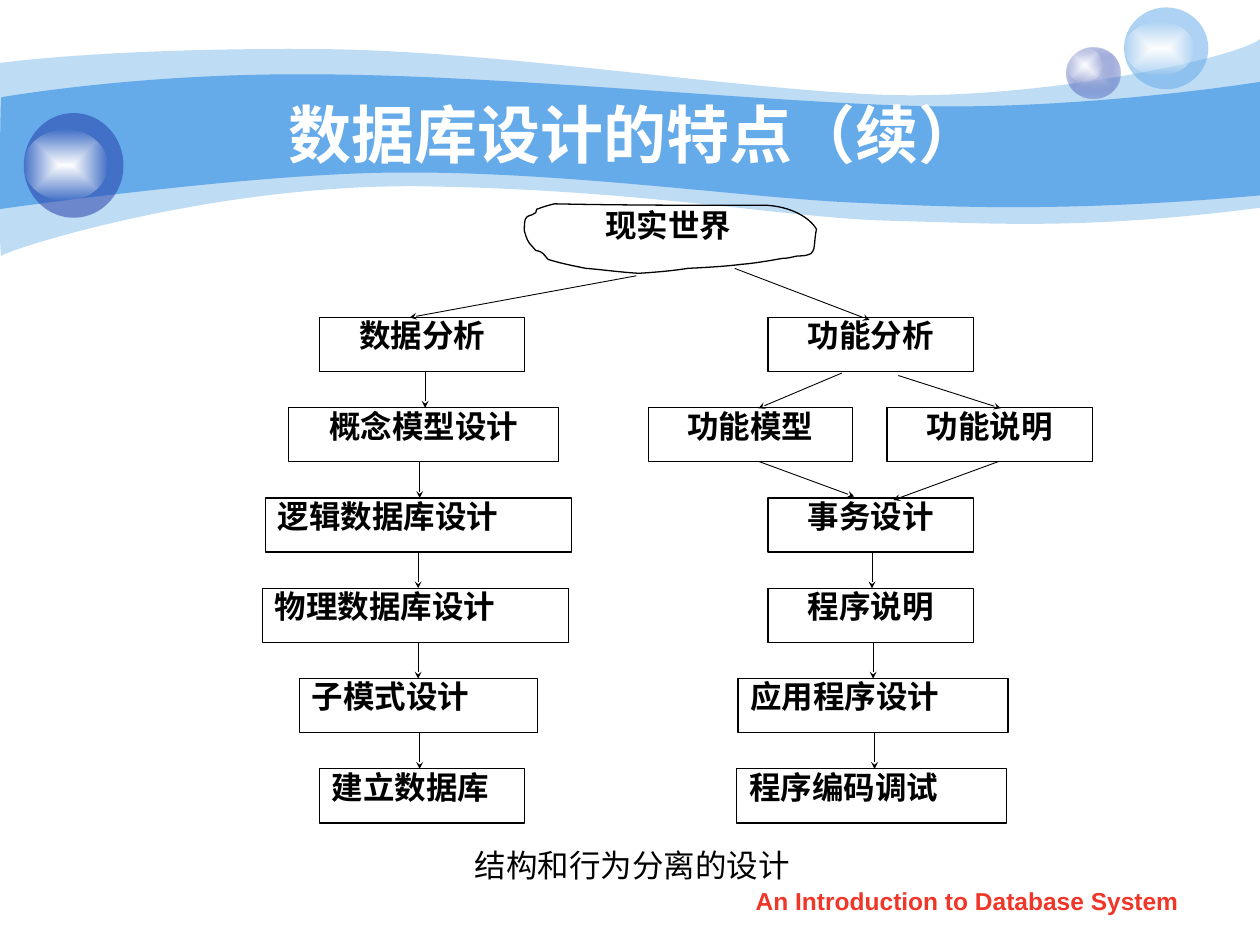
from pptx import Presentation
from pptx.dml.color import RGBColor
from pptx.enum.shapes import MSO_CONNECTOR, MSO_SHAPE
from pptx.enum.text import MSO_ANCHOR, MSO_AUTO_SIZE, PP_ALIGN
from pptx.oxml import parse_xml
from pptx.oxml.ns import nsdecls, qn
from pptx.util import Cm, Pt
from lxml import etree

OVAL, RECT = MSO_SHAPE.OVAL, MSO_SHAPE.RECTANGLE
STRAIGHT = MSO_CONNECTOR.STRAIGHT
TOP, MIDDLE = MSO_ANCHOR.TOP, MSO_ANCHOR.MIDDLE
GROW = MSO_AUTO_SIZE.SHAPE_TO_FIT_TEXT
LEFT, CENTER, JUSTIFY = PP_ALIGN.LEFT, PP_ALIGN.CENTER, PP_ALIGN.JUSTIFY

COLORS = {"sky": "65AAE9", "navy": "233DA9", "lilac": "C7CEE9",
          "white": "FFFFFF", "ink": "000000", "red": "F03628"}
SERIF, SANS = "Times New Roman", "Arial"
FIRST_ROW, ROW_PITCH, BOX_HEIGHT = 6.4, 1.82, 1.09

OUTER_WAVE = [
    (0, 1.27),
    (0.61, 1.19, 2.72, 0.97, 6.27, 0.99), (9.8, 0.99, 14.61, 1.78, 17.75, 1.91),
    (20.88, 2.03, 24.89, 1.19, 25.4, 0.79), (25.4, 4.19),
    (21.79, 4.65, 19.99, 4.5, 17.91, 4.45), (15.8, 4.39, 13.08, 3.84, 8.71, 3.76),
    (4.37, 3.66, 0.1, 5.05, 0.03, 5.16), (-0.03, 5.28, 0, 1.91, 0, 1.27)]
INNER_WAVE = [
    (0.03, 1.96),
    (0.05, 1.96, 2.79, 1.47, 6.3, 1.5), (9.8, 1.5, 15.11, 2.03, 18.24, 2.13),
    (21.36, 2.24, 24.79, 1.75, 25.4, 1.65), (25.4, 3.94),
    (21.67, 4.27, 19.43, 4.19, 17.32, 4.09), (15.21, 4.01, 11.35, 3.45, 8.05, 3.48),
    (5.16, 3.48, -0.05, 4.22, -0.03, 4.22), (0, 4.22, 0, 1.96, 0.03, 1.96)]
CLOUD = [
    (10.82, 4.22),
    (10.95, 4.17, 11.05, 4.14, 11.18, 4.11), (12.6, 4.14, 14.05, 4.14, 15.47, 4.14),
    (15.93, 4.17, 16.31, 4.37, 16.46, 4.62), (16.43, 4.75, 16.43, 4.88, 16.41, 5),
    (16.41, 5.03, 16.36, 5.13, 16.31, 5.13), (16.23, 5.16, 16.16, 5.16, 16.08, 5.16),
    (15.98, 5.18, 15.88, 5.21, 15.77, 5.21), (15.49, 5.26, 15.21, 5.31, 14.94, 5.33),
    (14.58, 5.38, 13.87, 5.41, 13.87, 5.41), (13.56, 5.46, 13.21, 5.49, 12.88, 5.51),
    (12.52, 5.49, 12.17, 5.44, 11.81, 5.41), (11.56, 5.36, 11.3, 5.31, 11.05, 5.23),
    (10.95, 5.13, 10.97, 5.08, 10.8, 5.05), (10.77, 5.03, 10.77, 5, 10.74, 4.98),
    (10.72, 4.95, 10.69, 4.93, 10.67, 4.9), (10.62, 4.83, 10.59, 4.72, 10.57, 4.65),
    (10.57, 4.57, 10.57, 4.5, 10.59, 4.42), (10.64, 4.32, 10.69, 4.37, 10.8, 4.29),
    (10.82, 4.27, 10.82, 4.24, 10.82, 4.22)]

STEPS = [
    ("概念模型设计", 1, 5.82, 5.44, CENTER),
    ("子模式设计", 4, 6.04, 4.8, JUSTIFY),
    ("物理数据库设计", 3, 5.29, 6.17, JUSTIFY),
    ("逻辑数据库设计", 2, 5.35, 6.17, JUSTIFY),
    ("建立数据库", 5, 6.44, 4.14, JUSTIFY),
    ("数据分析", 0, 6.44, 4.14, CENTER),
    ("功能分析", 0, 15.48, 4.14, CENTER),
    ("功能模型", 1, 13.07, 4.12, CENTER),
    ("功能说明", 1, 17.88, 4.14, CENTER),
    ("事务设计", 2, 15.48, 4.14, CENTER),
    ("程序说明", 3, 15.48, 4.14, CENTER),
    ("应用程序设计", 4, 14.88, 5.44, JUSTIFY),
    ("程序编码调试", 5, 14.85, 5.44, JUSTIFY)]
BRANCHES = [
    (12.83, 5.56, 8.26, 6.4), (14.81, 5.41, 17.53, 6.45),
    (16.97, 7.52, 15.29, 8.23), (18.11, 7.57, 20.17, 8.23),
    (15.29, 9.3, 17.22, 10.01), (20.14, 9.3, 18.01, 10.08)]
DESCENTS = [(8.57, 1), (8.46, 2), (8.43, 3), (8.43, 4), (8.46, 5),
            (17.58, 3), (17.6, 4), (17.63, 5)]


def rgb(name):
    return RGBColor.from_string(COLORS[name])


def fill_solid(shape, color, opacity=100):
    shape.fill.solid()
    shape.fill.fore_color.rgb = rgb(color)
    if opacity < 100:
        tint = shape._element.spPr.find(qn("a:solidFill"))[0]
        etree.SubElement(tint, qn("a:alpha"), val=str(opacity * 1000))


def fill_glow(shape, core, rim, rim_opacity):
    shape.fill.background()
    properties = shape._element.spPr
    glow = parse_xml(
        f'<a:gradFill rotWithShape="1" {nsdecls("a")}><a:gsLst>'
        f'<a:gs pos="0"><a:srgbClr val="{COLORS[core]}"/></a:gs>'
        f'<a:gs pos="100000"><a:srgbClr val="{COLORS[rim]}">'
        f'<a:alpha val="{rim_opacity * 1000}"/></a:srgbClr></a:gs></a:gsLst>'
        '<a:path path="rect"><a:fillToRect l="50000" t="50000" r="50000" b="50000"/>'
        '</a:path></a:gradFill>')
    properties.replace(properties.find(qn("a:noFill")), glow)


def add_outline(shapes, segments):
    ends = [(Cm(segment[-2]), Cm(segment[-1])) for segment in segments]
    builder = shapes.build_freeform(*ends[0])
    builder.add_line_segments(ends[1:])
    outline = builder.convert_to_shape()
    outline.shadow.inherit = False
    sides = list(outline._element.spPr.iter(qn("a:lnTo")))
    for side, segment in zip(sides, segments[1:]):
        if len(segment) == 6:
            curve = etree.Element(qn("a:cubicBezTo"))
            for x, y in zip(segment[::2], segment[1::2]):
                etree.SubElement(curve, qn("a:pt"), x=str(Cm(x) - outline.left),
                                 y=str(Cm(y) - outline.top))
            side.getparent().replace(side, curve)
    return outline


def add_wave(shapes, segments, opacity=100):
    wave = add_outline(shapes, segments)
    fill_solid(wave, "sky", opacity)
    wave.line.fill.background()


def add_oval(shapes, *bounds):
    oval = shapes.add_shape(OVAL, *map(Cm, bounds))
    oval.shadow.inherit = False
    oval.line.fill.background()
    return oval


def add_bubble(shapes, body, highlight):
    bubble = shapes.add_group_shape().shapes
    sphere = add_oval(bubble, *body)
    fill_glow(add_oval(bubble, *highlight), "white", "white", 0)
    return sphere


def draw_border(shape):
    shape.fill.background()
    shape.line.color.rgb = rgb("ink")
    shape.line.width = Pt(0.75)


def write(shape, text, size, color="ink", font=SERIF, bold=True,
          align=CENTER, anchor=TOP, spacing=None, wrap=True):
    frame = shape.text_frame
    frame.word_wrap = wrap
    frame.vertical_anchor = anchor
    paragraph = frame.paragraphs[0]
    paragraph.text = text
    paragraph.alignment = align
    paragraph.line_spacing = spacing
    paragraph.font.size = Pt(size)
    paragraph.font.name = font
    paragraph.font.bold = bold
    paragraph.font.color.rgb = rgb(color)


def add_label(shapes, bounds, text, size, **style):
    label = shapes.add_textbox(*map(Cm, bounds))
    write(label, text, size, **style)
    return label


def add_step(shapes, text, row, left, width, align):
    top = FIRST_ROW + row * ROW_PITCH
    step = shapes.add_shape(RECT, Cm(left), Cm(top), Cm(width), Cm(BOX_HEIGHT))
    step.shadow.inherit = False
    draw_border(step)
    write(step, text, 18, align=align, spacing=0.8)


def add_arrow(shapes, *ends):
    arrow = shapes.add_connector(STRAIGHT, *map(Cm, ends))
    arrow.line.color.rgb = rgb("ink")
    arrow.line.width = Pt(0.5)
    line = arrow._element.spPr.find(qn("a:ln"))
    etree.SubElement(line, qn("a:tailEnd"), type="stealth", w="sm", len="sm")
    etree.SubElement(arrow._element.spPr, qn("a:effectLst"))


def add_backdrop(shapes):
    add_wave(shapes, OUTER_WAVE, 41)
    add_wave(shapes, INNER_WAVE)
    small = add_bubble(shapes, (21.51, 0.97, 1.07, 1.02), (21.51, 0.97, 0.71, 0.69))
    fill_glow(small, "lilac", "navy", 31)
    pale = add_bubble(shapes, (22.66, 0.15, 1.7, 1.65), (22.66, 0.43, 1.42, 1.09))
    fill_solid(pale, "sky", 53)
    dark = add_bubble(shapes, (0.48, 2.28, 2.01, 2.11), (0.48, 2.62, 1.68, 1.42))
    fill_solid(dark, "navy", 53)


def add_flowchart(shapes):
    draw_border(add_outline(shapes, CLOUD))
    add_label(shapes, (11.48, 4.17, 3.99, 1.3), "现实世界", 18, spacing=0.8)
    for step in STEPS:
        add_step(shapes, *step)
    for branch in BRANCHES:
        add_arrow(shapes, *branch)
    for x, row in DESCENTS:
        top = FIRST_ROW + row * ROW_PITCH
        add_arrow(shapes, x, top - ROW_PITCH + BOX_HEIGHT, x, top)


def main():
    deck = Presentation()
    deck.slide_width, deck.slide_height = Cm(25.4), Cm(19.05)
    shapes = deck.slides.add_slide(deck.slide_layouts[6]).shapes
    add_backdrop(shapes)
    add_label(shapes, (14.5, 17.73, 10, 0.89), "An Introduction to Database System",
              14, color="red", font=SANS)
    add_label(shapes, (2.54, 1.9, 20.52, 1.57), "数据库设计的特点（续）",
              36, color="white", font=SANS, anchor=MIDDLE)
    add_flowchart(shapes.add_group_shape().shapes)
    caption = add_label(shapes, (9.32, 16.92, 6.99, 1.02), "结构和行为分离的设计", 18,
                        bold=False, align=LEFT, anchor=MIDDLE, wrap=False)
    caption.text_frame.auto_size = GROW
    deck.save("out.pptx")


if __name__ == "__main__":
    main()
